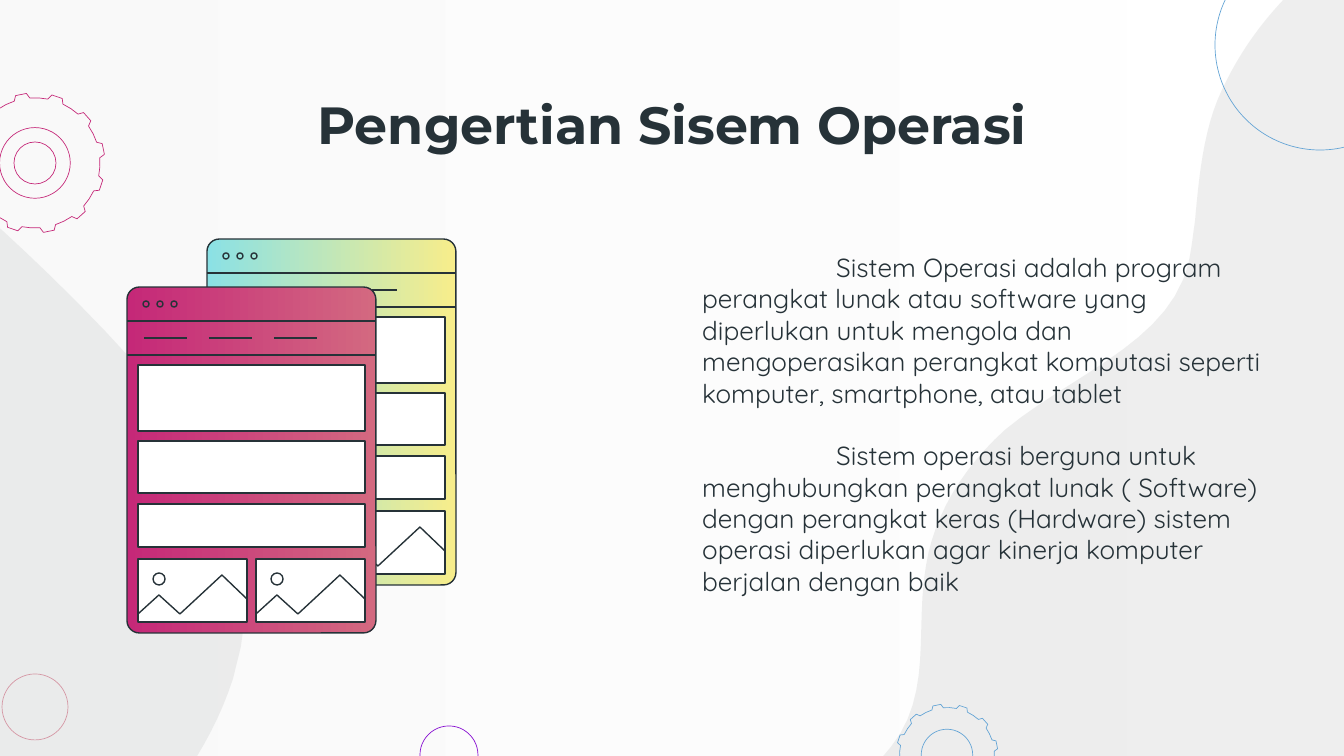
"""Build a slide that explains what an operating system is."""
from math import cos, radians, sin

from lxml import etree
from pptx import Presentation
from pptx import util as u
from pptx.dml.color import RGBColor
from pptx.enum import shapes as sh, text as tx
from pptx.oxml.ns import qn

TITLE = "Pengertian Sisem Operasi"
BODY = [
    "Sistem Operasi adalah program perangkat lunak atau software yang diperlukan untuk "
    "mengola dan mengoperasikan perangkat komputasi seperti komputer, smartphone, atau tablet",
    "Sistem operasi berguna untuk menghubungkan perangkat lunak ( Software) dengan perangkat "
    "keras (Hardware) sistem operasi diperlukan agar kinerja komputer berjalan dengan baik",
]
THEME = dict(
    ink="263238", white="FFFFFF", pale="F3F3F3", blob="D6D7D7", pink="C52878",
    rose="D36980", blue="63A4D5", violet="860CD1", lemon="F7ED8B", aqua="8BE1E5",
    head="Montserrat", body="Quicksand", big=28, small=14, lead=16.8, thin=0.36, line=0.75, clear=41,
)
WAVE = [
    (1372, -70),
    (1344, -52, 1318, -32, 1294, -11), (1263, 20, 1241, 50, 1222, 90),
    (1203, 130, 1199, 179, 1195, 222), (1192, 241, 1191, 261, 1183, 280),
    (1156, 347, 1066, 379, 1005, 430), (963, 468, 934, 515, 926, 566),
    (915, 628, 933, 695, 891, 747), (866, 780, 823, 797, 789, 824),
    (747, 860, 724, 913, 728, 962), (1656, 794), (1496, -93),
]
HILL = [
    (-42, 191),
    (-42, 191, 124, 332, 207, 454), (207, 454, 273, 548, 233, 679),
    (215, 734, 184, 782, 148, 820), (98, 870, 36, 898, -16, 894),
    (-108, 888, -191, 800, -234, 843), (-597, 1008), (-802, 953),
]
RINGS = [(35, 707, 33, "rose"), (449, 755, 29, "violet"), (1320, 45, 105, "blue")]
GEARS = [(35, 163, 70, "pink"), (947, 755, 51, "blue")]
HUB = (35, 163, 21, "pink")
WINDOWS = [
    dict(x=207, y=239, grad=("lemon", "aqua", 180), menus=[147], photos=[129], suns=[]),
    dict(x=127, y=287, grad=("pink", "rose", 0), menus=[17, 82, 147],
         photos=[129, 11], suns=[129, 11]),
]
PANELS = [(11, 78, 227, 66), (11, 154, 227, 52), (11, 217, 227, 43)]
PEAKS = [(0, 55), (21, 36), (42, 55), (84, 16), (109, 40)]
UNIT = 914400 / 134.4


def px(*vals):
    return [u.Emu(round(v * UNIT)) for v in vals]


def rgb(name):
    return RGBColor.from_string(THEME[name])


def style(shape, fill=None, line=None, width="line", grad=None, alpha=None):
    shape.shadow.inherit = False
    if grad:
        shape.fill.gradient()
        shape.fill.gradient_angle = grad[2]
        for stop, name in zip(shape.fill.gradient_stops, grad):
            stop.color.rgb = rgb(name)
    elif fill:
        shape.fill.solid()
        shape.fill.fore_color.rgb = rgb(fill)
    else:
        shape.fill.background()
    if alpha:
        for node in shape._element.spPr.iter(qn("a:srgbClr")):
            etree.SubElement(node, qn("a:alpha")).set("val", str(alpha * 1000))
    if line:
        shape.line.color.rgb = rgb(line)
        shape.line.width = u.Pt(THEME[width])
    else:
        shape.line.fill.background()
    return shape


def box(tree, at, kind="RECTANGLE", **fmt):
    return style(tree.add_shape(getattr(sh.MSO_SHAPE, kind), *px(*at)), **fmt)


def ring(tree, x, y, r, color, width="thin"):
    return box(tree, (x - r, y - r, 2 * r, 2 * r), "OVAL", line=color, width=width)


def free(tree, pts, close=True, **fmt):
    pts = [px(*p) for p in pts]
    pen = tree.build_freeform(*pts[0])
    pen.add_line_segments(pts[1:], close=close)
    return style(pen.convert_to_shape(), **fmt)


def rule(tree, x, y, w):
    line = tree.add_connector(sh.MSO_CONNECTOR.STRAIGHT, *px(x, y, x + w, y))
    line.line.color.rgb = rgb("ink")
    line.line.width = u.Pt(THEME["line"])
    etree.SubElement(line._element.spPr, qn("a:effectLst"))


def curve(path, steps=12):
    pts = []
    for part in path:
        if len(part) == 2:
            pts.append(part)
            continue
        knots = [pts[-1], part[:2], part[2:4], part[4:]]
        for i in range(1, steps + 1):
            t = i / steps
            mix = ((1 - t) ** 3, 3 * t * (1 - t) ** 2, 3 * t * t * (1 - t), t ** 3)
            pts.append(tuple(sum(m * k[a] for m, k in zip(mix, knots)) for a in (0, 1)))
    return pts


def blob(tree, path):
    free(tree, curve(path), fill="blob", alpha=THEME["clear"])


def gear(tree, x, y, r, color):
    tooth = [(-7, 0.93), (-4.5, 1), (4.5, 1), (7, 0.93), (15, 0.93)]
    polar = [(radians(30 * n - 11.5 + a), r * k) for n in range(12) for a, k in tooth]
    free(tree, [(x + d * cos(a), y + d * sin(a)) for a, d in polar], line=color, width="thin")
    ring(tree, x, y, r * 0.505, color)


def window(tree, x, y, grad, menus, photos, suns):
    tree = tree.add_group_shape().shapes
    frame = box(tree, (x, y, 249, 346), "ROUNDED_RECTANGLE", grad=grad, line="ink")
    frame.adjustments[0] = 0.05
    for dx, dy, w, h in PANELS:
        box(tree, (x + dx, y + dy, w, h), fill="white", line="ink")
    for dy in (34, 68):
        rule(tree, x, y + dy, 249)
    for i in range(3):
        ring(tree, x + 19 + 14 * i, y + 17, 3, "ink", "line")
    for dx in menus:
        rule(tree, x + dx, y + 51, 43)
    top = y + 272
    for dx in photos:
        left = x + dx
        box(tree, (left, top, 109, 63), fill="white", line="ink")
        free(tree, [(left + a, top + b) for a, b in PEAKS], close=False, line="ink")
    for dx in suns:
        ring(tree, x + dx + 21, top + 20, 6, "ink", "line")


def write(shape, at, paras, font, size, bold=False, align="LEFT", margin=0, indent=0, lead=None):
    shape.left, shape.top, shape.width, shape.height = px(*at)
    frame = shape.text_frame
    frame.word_wrap = True
    frame.auto_size = tx.MSO_AUTO_SIZE.NONE
    frame.vertical_anchor = tx.MSO_ANCHOR.MIDDLE
    frame.margin_left = frame.margin_right = frame.margin_top = frame.margin_bottom = u.Inches(0.1)
    for i, words in enumerate(paras):
        para = frame.add_paragraph() if i else frame.paragraphs[0]
        para.alignment = getattr(tx.PP_ALIGN, align)
        if lead:
            para.line_spacing = u.Pt(lead)
            para.space_before = u.Pt(lead if i else 0)
        props = para._p.get_or_add_pPr()
        props.set("marL", str(px(margin)[0]))
        props.set("indent", str(px(indent)[0]))
        run = para.add_run()
        run.text = words
        run.font.name, run.font.size, run.font.bold = font, u.Pt(size), bold
        run.font.color.rgb = rgb("ink")


def main():
    deck = Presentation()
    deck.slide_width, deck.slide_height = px(1344, 756)
    slide = deck.slides.add_slide(deck.slide_layouts[5])
    tree = slide.shapes
    title = tree.title
    box(tree, (-9, -9, 1363, 775), grad=("white", "pale", 180), alpha=THEME["clear"])
    blob(tree, WAVE)
    for spot in RINGS + [HUB]:
        ring(tree, *spot)
    for spot in GEARS:
        gear(tree, *spot)
    blob(tree, HILL)
    for spot in WINDOWS:
        window(tree, **spot)
    write(tree.add_textbox(0, 0, 0, 0), (673, 241, 602, 366), BODY, THEME["body"],
          THEME["small"], margin=16, indent=134, lead=THEME["lead"])
    write(title, (105, 97, 1134, 54), [TITLE], THEME["head"], THEME["big"],
          bold=True, align="CENTER")
    tree._spTree.append(title._element)
    deck.save("out.pptx")


if __name__ == "__main__":
    main()
